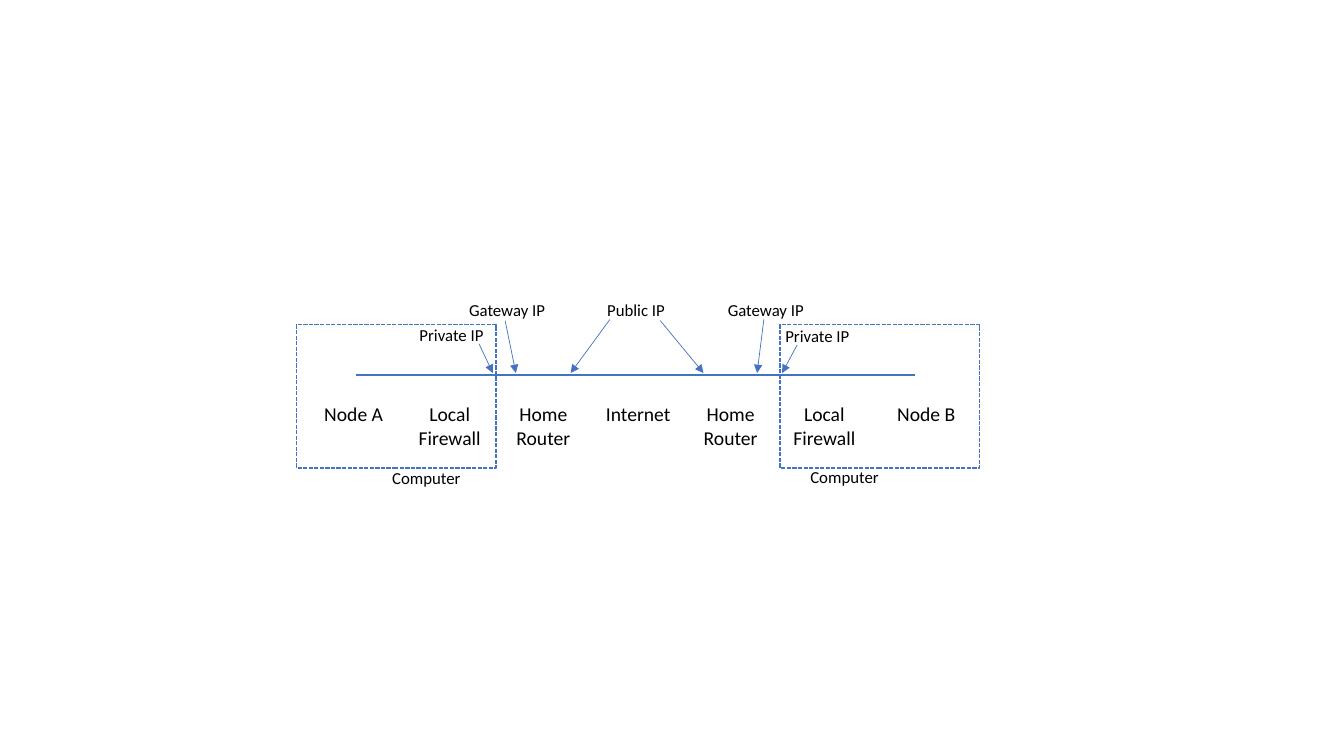
"""Draw the network path between two nodes behind home routers."""
from dataclasses import dataclass

from lxml.etree import SubElement
from pptx import Presentation
from pptx.dml.color import RGBColor
from pptx.dml.line import LineFormat
from pptx.enum.dml import MSO_LINE
from pptx.enum.shapes import MSO_CONNECTOR as Connector, MSO_SHAPE as Shape
from pptx.enum.text import MSO_AUTO_SIZE as AutoSize, PP_ALIGN as Align
from pptx.oxml.ns import qn
from pptx.slide import Slide
from pptx.util import Cm, Pt

BLUE, WHITE, BLACK = "4472C4", "FFFFFF", "000000"
COMPUTER_TOP, COMPUTER_WIDTH, COMPUTER_HEIGHT = 8.18, 5.03, 3.61
PATH_Y, ARROW_TIP_Y = 9.45, 9.4
NODE_TOP, NODE_WIDTH, LINE_HEIGHT = 10.01, 2.29, 0.59
LABEL_HEIGHT = 0.76


@dataclass
class Node:
    text: str
    left: float
    rows: int = 2


@dataclass
class Label:
    text: str
    left: float
    top: float
    width: float


@dataclass
class Arrow:
    start_x: float
    start_y: float
    tip_x: float


COMPUTERS = [19.66, 7.47]
NODES = [
    Node("Node A", 7.77, 1),
    Node("Local Firewall", 10.19),
    Node("Home\nRouter", 12.55),
    Node("Internet", 14.94, 1),
    Node("Home\nRouter", 17.27),
    Node("Local Firewall", 19.63),
    Node("Node B", 22.2, 1),
]
LABELS = [
    Label("Private IP", 10.26, 8.05, 2.24),
    Label("Gateway IP", 11.56, 7.44, 2.44),
    Label("Public IP", 14.81, 7.44, 2.44),
    Label("Gateway IP", 18.08, 7.44, 2.44),
    Label("Private IP", 19.48, 8.08, 2.24),
    Label("Computer", 9.55, 11.66, 2.39),
    Label("Computer", 20.09, 11.63, 2.39),
]
ARROWS = [
    Arrow(12.07, 8.66, 12.42),
    Arrow(12.73, 8.08, 13.0),
    Arrow(15.37, 8.05, 14.38),
    Arrow(16.64, 8.08, 17.73),
    Arrow(19.25, 8.05, 19.08),
    Arrow(20.09, 8.69, 19.71),
]


def color(code: str) -> RGBColor:
    return RGBColor.from_string(code)


def set_line(line: LineFormat, width: float) -> None:
    line.color.rgb = color(BLUE)
    line.width = Pt(width)


def add_computer(page: Slide, left: float) -> None:
    frame = page.shapes.add_shape(
        Shape.RECTANGLE, Cm(left), Cm(COMPUTER_TOP), Cm(COMPUTER_WIDTH), Cm(COMPUTER_HEIGHT)
    )
    frame.shadow.inherit = False
    frame.fill.solid()
    frame.fill.fore_color.rgb = color(WHITE)
    set_line(frame.line, 1)
    frame.line.dash_style = MSO_LINE.SQUARE_DOT


def add_line(page: Slide, start: tuple[float, float], end: tuple[float, float],
             *, width: float, arrow: bool = False) -> None:
    line = page.shapes.add_connector(Connector.STRAIGHT, *map(Cm, start + end))
    set_line(line.line, width)
    properties = line.element.spPr
    if arrow:
        SubElement(properties.find(qn("a:ln")), qn("a:tailEnd"), type="triangle")
    SubElement(properties, qn("a:effectLst"))


def add_text(page: Slide, text: str, left: float, top: float, width: float, height: float,
             *, size: float, wrap: bool) -> None:
    box = page.shapes.add_textbox(Cm(left), Cm(top), Cm(width), Cm(height))
    frame = box.text_frame
    frame.word_wrap = wrap
    frame.auto_size = AutoSize.SHAPE_TO_FIT_TEXT
    frame.text = text
    for para in frame.paragraphs:
        para.alignment = Align.CENTER
        for span in para.runs:
            span.font.name = "Calibri"
            span.font.size = Pt(size)
            span.font.color.rgb = color(BLACK)


def main() -> None:
    deck = Presentation()
    deck.slide_width, deck.slide_height = Cm(33.87), Cm(19.05)
    page = deck.slides.add_slide(deck.slide_layouts[6])
    for left in COMPUTERS:
        add_computer(page, left)
    add_line(page, (8.97, PATH_Y), (23.06, PATH_Y), width=1.5)
    for node in NODES:
        height = 0.27 + node.rows * LINE_HEIGHT
        add_text(page, node.text, node.left, NODE_TOP, NODE_WIDTH, height, size=14, wrap=True)
    for label in LABELS:
        add_text(page, label.text, label.left, label.top, label.width, LABEL_HEIGHT,
                 size=12, wrap=False)
    for arrow in ARROWS:
        add_line(page, (arrow.start_x, arrow.start_y), (arrow.tip_x, ARROW_TIP_Y),
                 width=0.5, arrow=True)
    deck.save("out.pptx")


if __name__ == "__main__":
    main()
